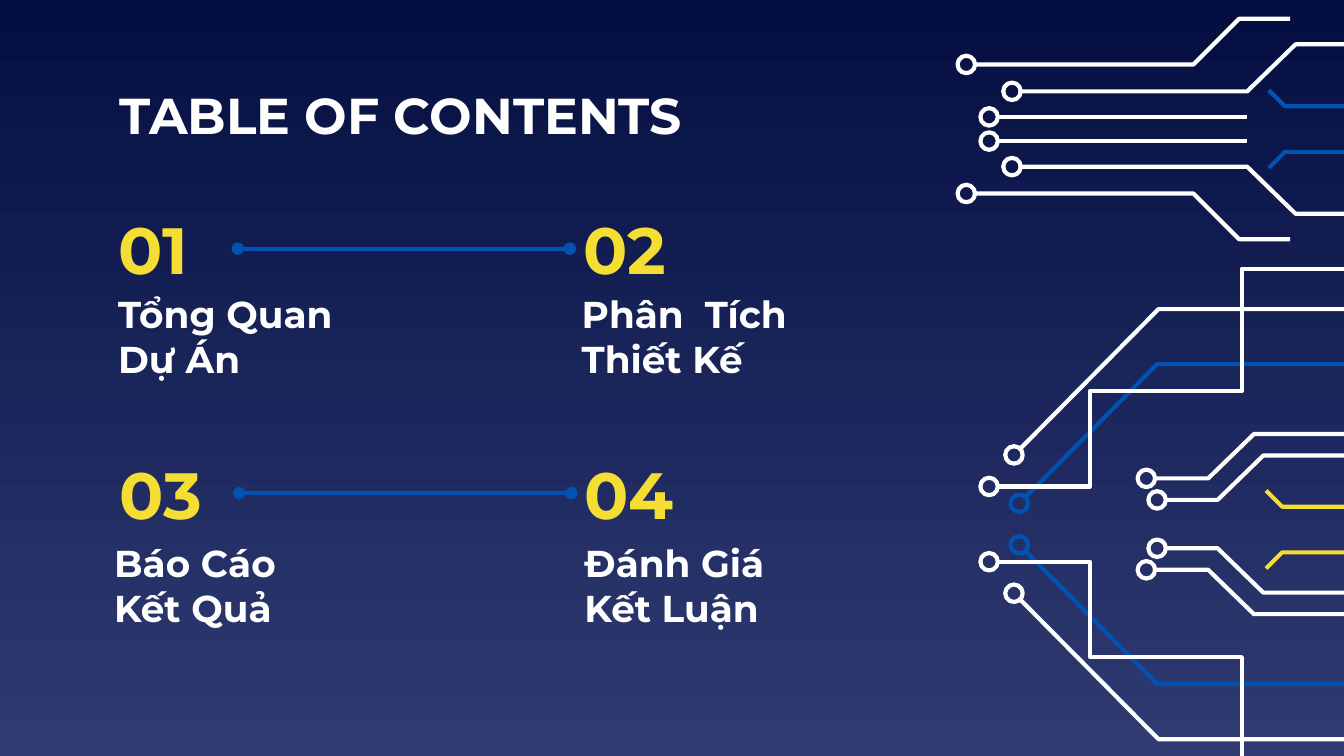
from dataclasses import dataclass
from math import hypot

from lxml import etree
from pptx import Presentation
from pptx.dml.color import RGBColor
from pptx.enum.shapes import MSO_CONNECTOR, MSO_SHAPE
from pptx.enum.text import MSO_ANCHOR, MSO_AUTO_SIZE, PP_ALIGN
from pptx.oxml.ns import qn
from pptx.util import Inches, Pt

OVAL = MSO_SHAPE.OVAL
STRAIGHT = MSO_CONNECTOR.STRAIGHT
LEFT = PP_ALIGN.LEFT
MIDDLE = MSO_ANCHOR.MIDDLE
FIXED = MSO_AUTO_SIZE.NONE
RIGHT_SIDE, LEFT_SIDE = 3, 1


@dataclass(frozen=True)
class Theme:
    font: str = "Montserrat"
    white: str = "FFFFFF"
    yellow: str = "F5DE34"
    blue: str = "0152B1"
    top: str = "040E41"
    base: str = "303B72"
    title: int = 27
    number: int = 35
    label: int = 20
    line: float = 2.25


THEME = Theme()
WIDE = Inches(10)
HIGH = WIDE * 9 // 16
RING = 0.13
RING_GAP = 0.05

FAN = [
    (THEME.white, [(0, 0.48), (1.64, 0.48), (1.98, 0.82), (2.36, 0.82)]),
    (THEME.white, [(0.34, 0.28), (2.04, 0.28), (2.4, 0.63), (3.01, 0.63)]),
    (THEME.white, [(0.17, 0.09), (2.04, 0.09)]),
]
HUB = [
    (THEME.blue, [(0.21, 0.19), (1.2, 1.19), (2.78, 1.19)]),
    (THEME.white, [(0, 0.28), (0.7, 0.28), (0.7, 0.99), (1.83, 0.99),
                   (1.83, 1.9), (2.79, 1.9)]),
    (THEME.white, [(0.17, 0.55), (1.21, 1.6), (2.79, 1.6)]),
]
PAIR = [
    (THEME.white, [(0.08, 0.18), (0.48, 0.18), (0.82, 0.51), (1.62, 0.51)]),
    (THEME.white, [(0, 0.34), (0.41, 0.34), (0.75, 0.67), (1.62, 0.67)]),
]
TIP = [(0, 0.29), (0.12, 0.17), (0.69, 0.17)]


def assign(item, values):
    for name, value in values.items():
        setattr(item, name, value)


def rgb(color):
    return RGBColor.from_string(color)


def stroke(shape, color):
    shape.line.color.rgb = rgb(color)
    shape.line.width = Pt(THEME.line)


def outline(shape, color):
    shape.fill.background()
    shape.shadow.inherit = False
    stroke(shape, color)


def trace(shapes, points, color, ring):
    spots = [(Inches(x), Inches(y)) for x, y in points]
    pen = shapes.build_freeform(*spots[0])
    pen.add_line_segments(spots[1:], close=False)
    outline(pen.convert_to_shape(), color)
    if ring:
        (x, y), (x2, y2) = points[:2]
        back = RING_GAP / hypot(x2 - x, y2 - y)
        left = x - (x2 - x) * back - RING / 2
        top = y - (y2 - y) * back - RING / 2
        dot = shapes.add_shape(OVAL, Inches(left), Inches(top),
                               Inches(RING), Inches(RING))
        outline(dot, color)


def circuit(slide, left, axis, paths, ring=True):
    shapes = slide.shapes.add_group_shape().shapes
    for side in (-1, 1):
        for color, path in paths:
            points = [(left + x, axis + side * y) for x, y in path]
            trace(shapes, points, color, ring)


def write(shape, box, text, size, color):
    left, top, width, height = map(Inches, box)
    assign(shape, {"left": left, "top": top, "width": width, "height": height})
    frame = shape.text_frame
    pad = Inches(0.1)
    assign(frame, {"word_wrap": True, "auto_size": FIXED,
                   "vertical_anchor": MIDDLE, "margin_left": pad,
                   "margin_right": pad, "margin_top": pad,
                   "margin_bottom": pad})
    line = frame.paragraphs[0]
    line.text = text
    line.alignment = LEFT
    for run in line.runs:
        assign(run.font, {"name": THEME.font, "size": Pt(size), "bold": True})
        run.font.color.rgb = rgb(color)


def add_text(slide, box, text, size, color):
    shape = slide.shapes.add_textbox(0, 0, 0, 0)
    write(shape, box, text, size, color)
    return shape


def link(slide, start, end):
    line = slide.shapes.add_connector(STRAIGHT, 0, 0, 0, 0)
    line.begin_connect(start, RIGHT_SIDE)
    line.end_connect(end, LEFT_SIDE)
    stroke(line, THEME.blue)
    props = line._element.spPr
    for tag in ("a:headEnd", "a:tailEnd"):
        etree.SubElement(props.find(qn("a:ln")), qn(tag), type="oval")
    etree.SubElement(props, qn("a:effectLst"))


def add_row(slide, top, drop, items):
    marks = []
    for number, label, left, shift in items:
        marks.append(add_text(slide, (left, top, 0.99, 0.58), number,
                              THEME.number, THEME.yellow))
        add_text(slide, (left + shift, top + drop, 2.41, 0.52), label,
                 THEME.label, THEME.white)
    link(slide, *marks)


def paint(slide):
    fill = slide.background.fill
    fill.gradient()
    fill.gradient_angle = 270
    for stop, color in zip(fill.gradient_stops, (THEME.top, THEME.base)):
        stop.color.rgb = rgb(color)


def main():
    deck = Presentation()
    assign(deck, {"slide_width": WIDE, "slide_height": HIGH})
    slide = deck.slides.add_slide(deck.slide_layouts[5])
    paint(slide)
    circuit(slide, 8.58, 3.9, PAIR)
    circuit(slide, 9.42, 3.94, [(THEME.yellow, TIP)], ring=False)
    circuit(slide, 9.44, 0.96, [(THEME.blue, TIP)], ring=False)
    write(slide.shapes.title, (0.79, 0.59, 5.87, 0.52), "TABLE OF CONTENTS",
          THEME.title, THEME.white)
    circuit(slide, 7.41, 3.9, HUB)
    circuit(slide, 7.24, 0.96, FAN)
    add_row(slide, 1.56, 0.68, [("01", "Tổng Quan\nDự Án", 0.78, 0),
                                ("02", "Phân  Tích\nThiết Kế", 4.24, -0.01)])
    add_row(slide, 3.38, 0.71, [("03", "Báo Cáo\nKết Quả", 0.79, -0.04),
                                ("04", "Đánh Giá\nKết Luận", 4.25, 0)])
    deck.save("out.pptx")


if __name__ == "__main__":
    main()
